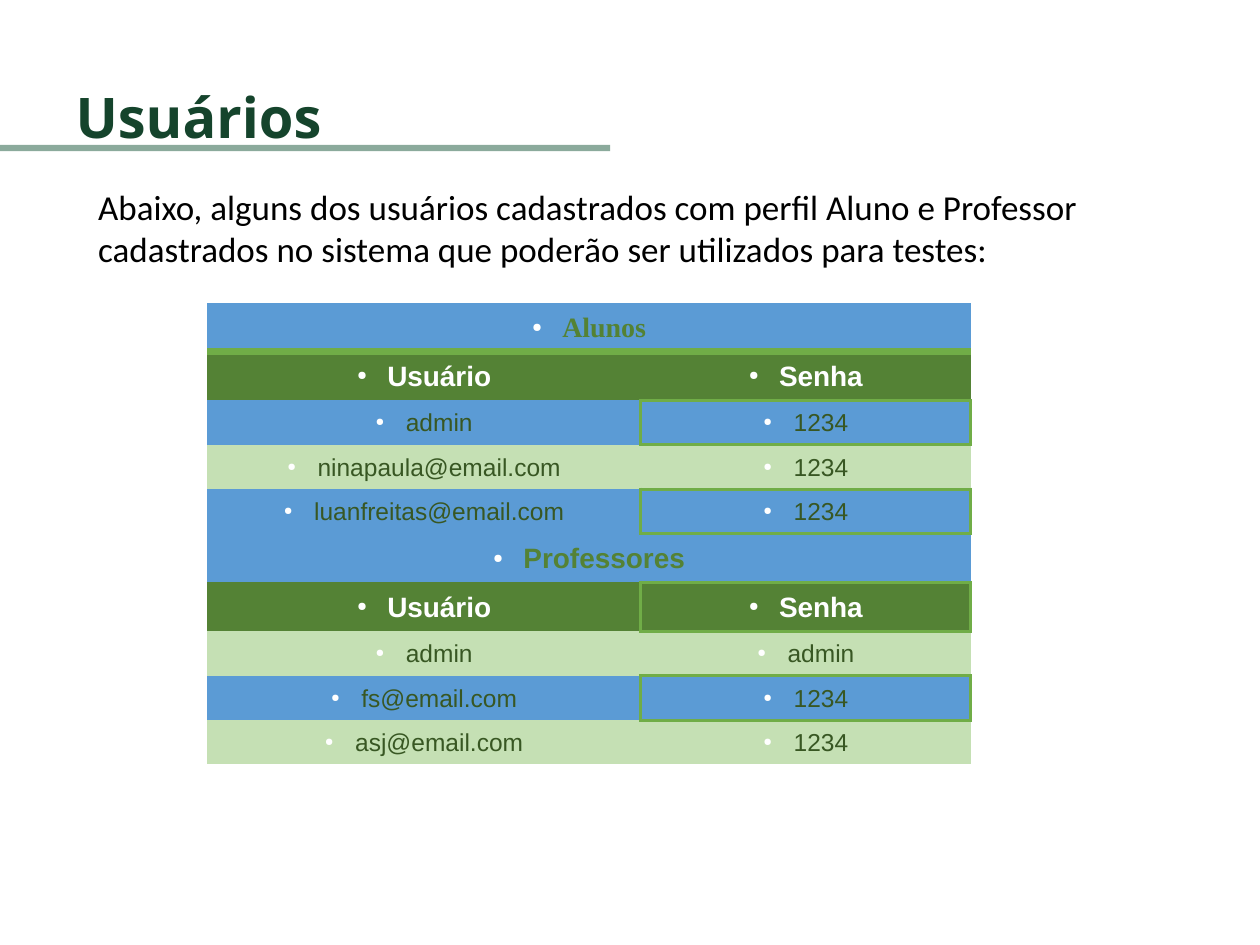
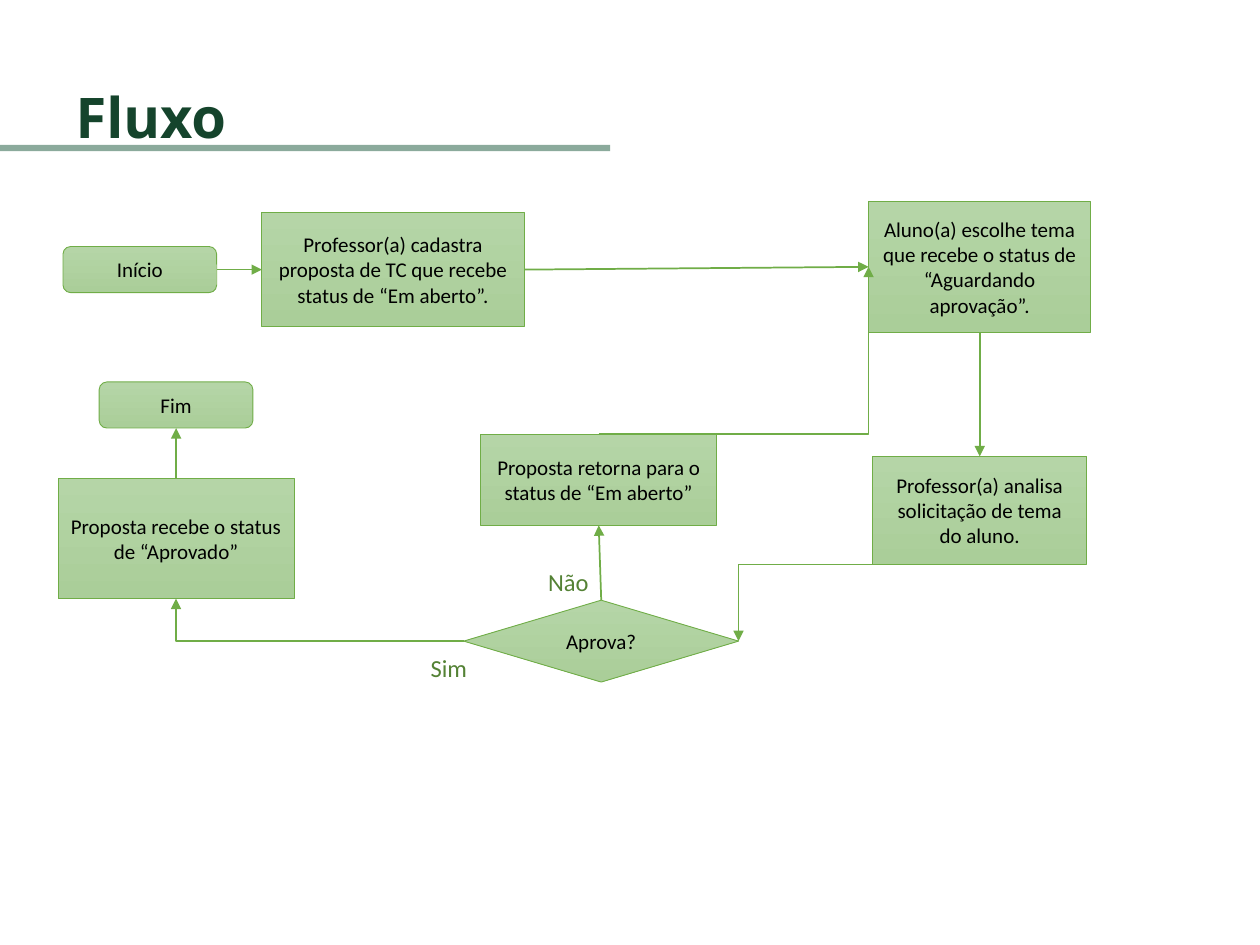
"""Build two slides: the table of test users and the proposal flowchart."""
from lxml.etree import SubElement
from pptx import Presentation
from pptx.dml.color import RGBColor
from pptx.enum.shapes import MSO_CONNECTOR, MSO_SHAPE
from pptx.enum.text import MSO_ANCHOR, MSO_AUTO_SIZE, PP_ALIGN
from pptx.oxml.ns import qn
from pptx.util import Cm, Pt

COLORS = {
    "title": "15442C",
    "band": "18563A",
    "text": "000000",
    "white": "FFFFFF",
    "blue": "5B9BD5",
    "pale": "C5E0B4",
    "green": "548235",
    "dark": "385723",
    "line": "70AD47",
    "box_top": "B5D5A7",
    "box_bottom": "AACE99",
}
NO_STYLE = "{2D5ABB26-0587-4C30-8999-92F81FD0307C}"
TOP, LEFT, BOTTOM, RIGHT = range(4)
COLUMN_WIDTHS = (8.74, 6.65)
ROW_HEIGHT = 0.85
USER_ROWS = [
    ("group", "blue", ["Alunos"], False),
    ("header", "green", ["Usuário", "Senha"], False),
    ("entry", "blue", ["admin", "1234"], True),
    ("entry", "pale", ["ninapaula@email.com", "1234"], False),
    ("entry", "blue", ["luanfreitas@email.com", "1234"], True),
    ("group", "blue", ["Professores"], False),
    ("header", "green", ["Usuário", "Senha"], True),
    ("entry", "pale", ["admin", "admin"], False),
    ("entry", "blue", ["fs@email.com", "1234"], True),
    ("entry", "pale", ["asj@email.com", "1234"], False),
]
ROW_FONTS = {
    "group": (16, "green", True),
    "header": (16, "white", True),
    "entry": (14, "dark", False),
}
FLOW_STEPS = {
    "start": (MSO_SHAPE.ROUNDED_RECTANGLE, 1.27, 4.97, 3.1, 0.93, "Início"),
    "register": (MSO_SHAPE.RECTANGLE, 5.28, 4.29, 5.29, 2.29,
                 "Professor(a) cadastra proposta de TC que recebe status de “Em aberto”."),
    "choose": (MSO_SHAPE.RECTANGLE, 17.51, 4.06, 4.48, 2.64,
               "Aluno(a) escolhe tema que recebe o status de “Aguardando aprovação”."),
    "analyse": (MSO_SHAPE.RECTANGLE, 17.59, 9.2, 4.32, 2.18,
                "Professor(a) analisa solicitação de tema do aluno."),
    "decide": (MSO_SHAPE.DIAMOND, 9.35, 12.1, 5.54, 1.65, "Aprova?"),
    "approved": (MSO_SHAPE.RECTANGLE, 1.17, 9.64, 4.76, 2.43,
                 "Proposta recebe o status de “Aprovado”"),
    "reopened": (MSO_SHAPE.RECTANGLE, 9.69, 8.75, 4.76, 1.84,
                 "Proposta retorna para o status de “Em aberto”"),
    "end": (MSO_SHAPE.ROUNDED_RECTANGLE, 2.0, 7.7, 3.1, 0.93, "Fim"),
}
STRAIGHT_ARROWS = [
    ("start", RIGHT, "register", LEFT),
    ("register", RIGHT, "choose", LEFT),
    ("choose", BOTTOM, "analyse", TOP),
    ("decide", TOP, "reopened", BOTTOM),
    ("approved", TOP, "end", BOTTOM),
]
BENT_ARROWS = [
    ("decide", LEFT, "approved", BOTTOM),
    ("analyse", BOTTOM, "decide", RIGHT),
    ("reopened", TOP, "choose", LEFT),
]


def rgb(name):
    """Return the named colour."""
    return RGBColor.from_string(COLORS[name])


def format_runs(paragraph, font_name, size, color, bold=False):
    """Give every run of a paragraph the same font."""
    for run in paragraph.runs:
        run.font.name = font_name
        run.font.size = Pt(size)
        run.font.bold = bold
        run.font.color.rgb = rgb(color)


def add_titled_slide(presentation, title_text):
    """Add a slide with its title and the band beneath it."""
    slide = presentation.slides.add_slide(presentation.slide_layouts[5])
    title = slide.shapes.title
    title.left, title.top, title.width, title.height = Cm(1.27), Cm(0.76), Cm(22.86), Cm(3.18)
    title.text_frame.text = title_text
    title.text_frame.vertical_anchor = MSO_ANCHOR.MIDDLE
    paragraph = title.text_frame.paragraphs[0]
    paragraph.alignment = PP_ALIGN.LEFT
    format_runs(paragraph, "Open Sans", 32, "title", True)

    band = slide.shapes.add_shape(MSO_SHAPE.RECTANGLE, 0, Cm(2.92), Cm(12.3), Cm(0.13))
    band.shadow.inherit = False
    band.line.fill.background()
    band.fill.solid()
    band.fill.fore_color.rgb = rgb("band")
    color = band._element.spPr.find(qn("a:solidFill"))[0]
    SubElement(color, qn("a:alpha"), val="50000")
    return slide


def add_text(slide, left, top, width, height, text, size, color, wrap):
    """Add a text box that fits its text."""
    box = slide.shapes.add_textbox(Cm(left), Cm(top), Cm(width), Cm(height))
    frame = box.text_frame
    frame.text = text
    frame.word_wrap = wrap
    frame.auto_size = MSO_AUTO_SIZE.SHAPE_TO_FIT_TEXT
    format_runs(frame.paragraphs[0], "Calibri", size, color)


def set_bullet(paragraph):
    """Give a paragraph a small white hanging bullet."""
    properties = paragraph._p.get_or_add_pPr()
    properties.set("marL", str(Cm(0.61)))
    properties.set("indent", str(Cm(-0.61)))
    bullet_color = SubElement(properties, qn("a:buClr"))
    SubElement(bullet_color, qn("a:srgbClr"), val=COLORS["white"])
    SubElement(properties, qn("a:buSzPct"), val="45000")
    SubElement(properties, qn("a:buChar"), char="●")


def set_borders(cell, sides, width):
    """Draw green borders on the given sides of a cell."""
    properties = cell._tc.get_or_add_tcPr()
    for position, side in enumerate(sides):
        border = SubElement(properties, qn(f"a:ln{side}"), w=str(Pt(width)))
        fill = SubElement(border, qn("a:solidFill"))
        SubElement(fill, qn("a:srgbClr"), val=COLORS["line"])
        properties.insert(position, border)


def fill_cell(cell, text, kind, fill_color):
    """Write and format one cell."""
    cell.fill.solid()
    cell.fill.fore_color.rgb = rgb(fill_color)
    cell.vertical_anchor = MSO_ANCHOR.MIDDLE
    cell.margin_left = cell.margin_right = Cm(0.2)
    cell.margin_top = cell.margin_bottom = Cm(0.13)
    cell.text_frame.text = text
    paragraph = cell.text_frame.paragraphs[0]
    paragraph.alignment = PP_ALIGN.CENTER
    paragraph.line_spacing = 1.07
    set_bullet(paragraph)
    font_name = "Times New Roman" if text == "Alunos" else "Arial"
    format_runs(paragraph, font_name, *ROW_FONTS[kind])


def add_user_table(slide):
    """Add the table of users and passwords."""
    frame = slide.shapes.add_table(len(USER_ROWS), 2, Cm(4.18), Cm(6.1),
                                   Cm(sum(COLUMN_WIDTHS)), Cm(ROW_HEIGHT * len(USER_ROWS)))
    table = frame.table
    table.first_row = table.horz_banding = False
    table._tbl.tblPr.find(qn("a:tableStyleId")).text = NO_STYLE
    for column, width in zip(table.columns, COLUMN_WIDTHS):
        column.width = Cm(width)
    for row, (kind, fill_color, texts, outlined) in enumerate(USER_ROWS):
        table.rows[row].height = Cm(ROW_HEIGHT)
        if kind == "group":
            table.cell(row, 0).merge(table.cell(row, 1))
        for column, text in enumerate(texts):
            fill_cell(table.cell(row, column), text, kind, fill_color)
        if outlined:
            set_borders(table.cell(row, 1), "LRTB", 1.98)
    for column in range(2):
        set_borders(table.cell(0, column), "B", 4.03)


def add_step(slide, kind, left, top, width, height, text):
    """Add one flowchart step."""
    shape = slide.shapes.add_shape(kind, Cm(left), Cm(top), Cm(width), Cm(height))
    shape.shadow.inherit = False
    shape.fill.gradient()
    shape.fill.gradient_angle = 270
    for stop, color in zip(shape.fill.gradient_stops, ("box_top", "box_bottom")):
        stop.color.rgb = rgb(color)
    shape.line.color.rgb = rgb("line")
    shape.line.width = Pt(0.5)
    shape.text_frame.text = text
    paragraph = shape.text_frame.paragraphs[0]
    paragraph.alignment = PP_ALIGN.CENTER
    format_runs(paragraph, "Calibri", 12, "text")
    return shape


def side_middle(shape, side):
    """Return the middle point of one side of a shape."""
    across = {LEFT: 0, RIGHT: shape.width}.get(side, shape.width // 2)
    down = {TOP: 0, BOTTOM: shape.height}.get(side, shape.height // 2)
    return shape.left + across, shape.top + down


def add_arrow(slide, kind, source, source_side, target, target_side):
    """Add an arrow between the sides of two steps."""
    arrow = slide.shapes.add_connector(kind, *side_middle(source, source_side),
                                       *side_middle(target, target_side))
    arrow.line.color.rgb = rgb("line")
    arrow.line.width = Pt(1)
    SubElement(arrow.line._get_or_add_ln(), qn("a:tailEnd"), type="triangle")
    properties = arrow._element.spPr
    SubElement(properties, qn("a:effectLst"))
    if kind == MSO_CONNECTOR.ELBOW:
        properties.find(qn("a:prstGeom")).set("prst", "bentConnector2")
    else:
        arrow.begin_connect(source, source_side)
        arrow.end_connect(target, target_side)


def add_flowchart(slide):
    """Add the steps, arrows and answers of the flow."""
    steps = {name: add_step(slide, *step) for name, step in FLOW_STEPS.items()}
    for kind, arrows in ((MSO_CONNECTOR.STRAIGHT, STRAIGHT_ARROWS),
                         (MSO_CONNECTOR.ELBOW, BENT_ARROWS)):
        for source, source_side, target, target_side in arrows:
            add_arrow(slide, kind, steps[source], source_side, steps[target], target_side)
    add_text(slide, 8.43, 13.03, 1.24, 0.86, "Sim", 14, "green", False)
    add_text(slide, 10.8, 11.3, 1.35, 0.86, "Não", 14, "green", False)


def main():
    """Build and save the presentation."""
    presentation = Presentation()
    presentation.slide_width, presentation.slide_height = Cm(25.4), Cm(19.05)

    users = add_titled_slide(presentation, "Usuários")
    add_text(users, 1.73, 3.61, 22.4, 2.03,
             "Abaixo, alguns dos usuários cadastrados com perfil Aluno e Professor "
             "cadastrados no sistema que poderão ser utilizados para testes:",
             20, "text", True)
    add_user_table(users)

    flow = add_titled_slide(presentation, "Fluxo")
    add_flowchart(flow)
    presentation.save("out.pptx")


if __name__ == "__main__":
    main()
